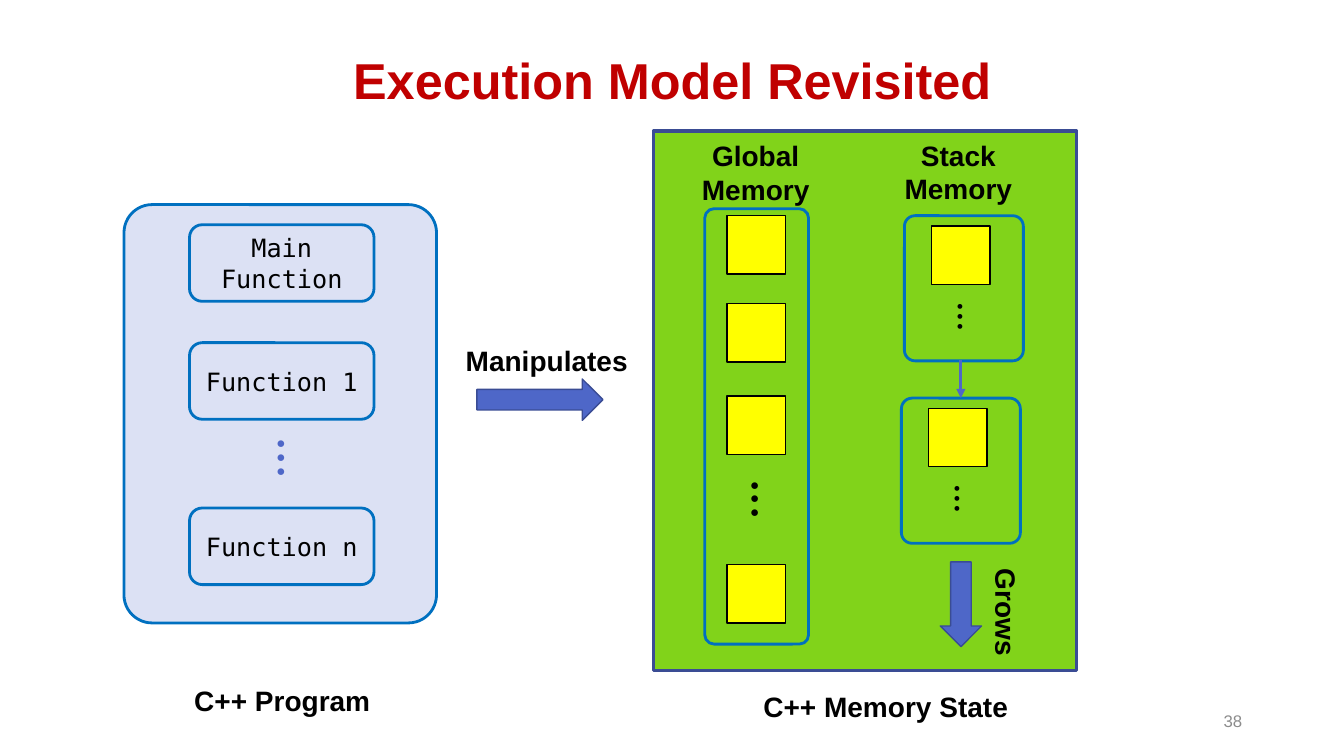
from dataclasses import dataclass
from typing import Optional

from lxml import etree
from pptx import Presentation
from pptx.dml.color import RGBColor
from pptx.enum import shapes, text
from pptx.oxml import ns
from pptx.util import Inches, Pt

KIND = shapes.MSO_SHAPE
ALIGN = text.PP_ALIGN


# Colours, fonts and sizes
@dataclass(frozen=True)
class Theme:
    red: str = "C00000"
    black: str = "000000"
    gray: str = "8C8C8C"
    green: str = "81D31A"
    yellow: str = "FFFF00"
    pale: str = "DCE1F4"
    blue: str = "0070C0"
    indigo: str = "4E67C8"
    navy: str = "3A4C94"
    sans: str = "Arial"
    mono: str = "DejaVu Sans Mono"
    title: int = 36
    label: int = 20
    code: int = 18
    number: int = 12
    dots: int = 11
    small: int = 8


T = Theme()


@dataclass
class Box:
    x: float
    y: float
    w: float
    h: float
    kind: KIND = KIND.RECTANGLE
    fill: Optional[str] = None
    line: str = T.black
    width: float = 1
    round: Optional[float] = None
    turn: int = 0
    words: str = ""


@dataclass
class Label:
    x: float
    y: float
    w: float
    h: float
    words: str
    size: int = T.label
    color: str = T.black
    bold: bool = True
    align: ALIGN = ALIGN.CENTER
    turn: int = 0


def style(frame, font: str, size: int, color: str, bold: bool, align: ALIGN) -> None:
    for para in frame.paragraphs:
        para.alignment = align
        para.font.name = font
        para.font.size = Pt(size)
        para.font.bold = bold
        para.font.color.rgb = RGBColor.from_string(color)


def draw_box(slide, box: Box) -> None:
    shape = slide.shapes.add_shape(
        box.kind, Inches(box.x), Inches(box.y), Inches(box.w), Inches(box.h))
    shape.shadow.inherit = False
    shape.rotation = box.turn
    if box.round is not None:
        shape.adjustments[0] = box.round
    if box.fill:
        shape.fill.solid()
        shape.fill.fore_color.rgb = RGBColor.from_string(box.fill)
    else:
        shape.fill.background()
    shape.line.color.rgb = RGBColor.from_string(box.line)
    shape.line.width = Pt(box.width)
    if box.words:
        frame = shape.text_frame
        frame.text = box.words
        frame.vertical_anchor = text.MSO_ANCHOR.MIDDLE
        style(frame, T.mono, T.code, T.black, False, ALIGN.CENTER)


def draw_label(slide, label: Label) -> None:
    shape = slide.shapes.add_textbox(
        Inches(label.x), Inches(label.y), Inches(label.w), Inches(label.h))
    shape.rotation = label.turn
    frame = shape.text_frame
    frame.word_wrap = True
    frame.text = label.words
    style(frame, T.sans, label.size, label.color, label.bold, label.align)


def frame_box(x: float, y: float, w: float, h: float, **more) -> Box:
    return Box(x, y, w, h, KIND.ROUNDED_RECTANGLE, line=T.blue, width=2, **more)


def cell(x: float, y: float) -> Box:
    return Box(x, y, 0.58, 0.58, fill=T.yellow)


def arrow(x: float, y: float, w: float, turn: int = 0) -> Box:
    return Box(x, y, w, 0.41, KIND.RIGHT_ARROW, T.indigo, T.navy, turn=turn)


def dots(x: float, y: float, h: float, size: int, color: str = T.black) -> Label:
    return Label(x, y, 0.84, h, "● ● ●", size, color, False, ALIGN.LEFT, 90)


def draw_link(slide, x: float, top: float, end: float) -> None:
    link = slide.shapes.add_connector(
        shapes.MSO_CONNECTOR.STRAIGHT, Inches(x), Inches(top), Inches(x), Inches(end))
    link.line.color.rgb = RGBColor.from_string(T.indigo)
    link.line.width = Pt(2.25)
    etree.SubElement(link.line._get_or_add_ln(), ns.qn("a:tailEnd"), type="triangle")
    etree.SubElement(link._element.spPr, ns.qn("a:effectLst"))


def draw_title(slide, words: str) -> None:
    title = slide.shapes.title
    title.left, title.top = Inches(0.92), Inches(0.4)
    title.width, title.height = Inches(11.5), Inches(0.86)
    frame = title.text_frame
    frame.text = words
    frame.vertical_anchor = text.MSO_ANCHOR.MIDDLE
    frame.paragraphs[0].line_spacing = 0.9
    style(frame, T.sans, T.title, T.red, True, ALIGN.CENTER)


def main() -> None:
    deck = Presentation()
    deck.slide_width, deck.slide_height = Inches(13.33), Inches(7.5)
    slide = deck.slides.add_slide(deck.slide_layouts[5])
    draw_title(slide, "Execution Model Revisited")

    # Program with its functions
    boxes = [frame_box(1.23, 2.03, 3.1, 4.15, fill=T.pale, round=0.09)]
    for y, name in ((2.23, "Main Function"), (3.4, "Function 1"), (5.04, "Function n")):
        boxes.append(frame_box(1.88, y, 1.83, 0.76, words=name))
    labels = [dots(2.38, 4.54, 0.29, T.dots, T.indigo)]

    # Global memory
    boxes.append(Box(6.48, 1.3, 4.2, 5.35, fill=T.green, line=T.navy, width=2.25))
    boxes += [cell(7.21, y) for y in (2.14, 3.01, 3.93, 5.6)]
    boxes.append(frame_box(6.99, 2.07, 1.03, 4.32, round=0.09))
    labels.append(dots(7.08, 4.95, 0.29, T.dots))

    # Stack memory
    for x, y in ((8.97, 2.14), (8.94, 3.95)):
        boxes += [cell(x + 0.27, y + 0.1), frame_box(x, y, 1.18, 1.44, round=0.09)]
        labels.append(dots(x + 0.14, y + 1.07, 0.24, T.small))

    # Block arrows
    boxes += [arrow(4.73, 3.76, 1.25), arrow(9.11, 5.79, 0.84, 90)]

    # Captions and slide number
    labels += [
        Label(6.75, 1.33, 1.49, 0.77, "Global\nMemory"),
        Label(8.76, 1.32, 1.49, 0.77, "Stack\nMemory"),
        Label(4.52, 3.36, 1.95, 0.44, "Manipulates", align=ALIGN.LEFT),
        Label(9.42, 5.88, 1.12, 0.44, "Grows", align=ALIGN.LEFT, turn=90),
        Label(1.65, 6.73, 2.3, 0.44, "C++ Program"),
        Label(7.21, 6.79, 3.15, 0.44, "C++ Memory State"),
        Label(9.42, 7, 3, 0.3, "38", T.number, T.gray, False, ALIGN.RIGHT),
    ]

    for box in boxes:
        draw_box(slide, box)
    draw_link(slide, 9.53, 3.57, 3.95)
    for label in labels:
        draw_label(slide, label)

    deck.save("out.pptx")


if __name__ == "__main__":
    main()
